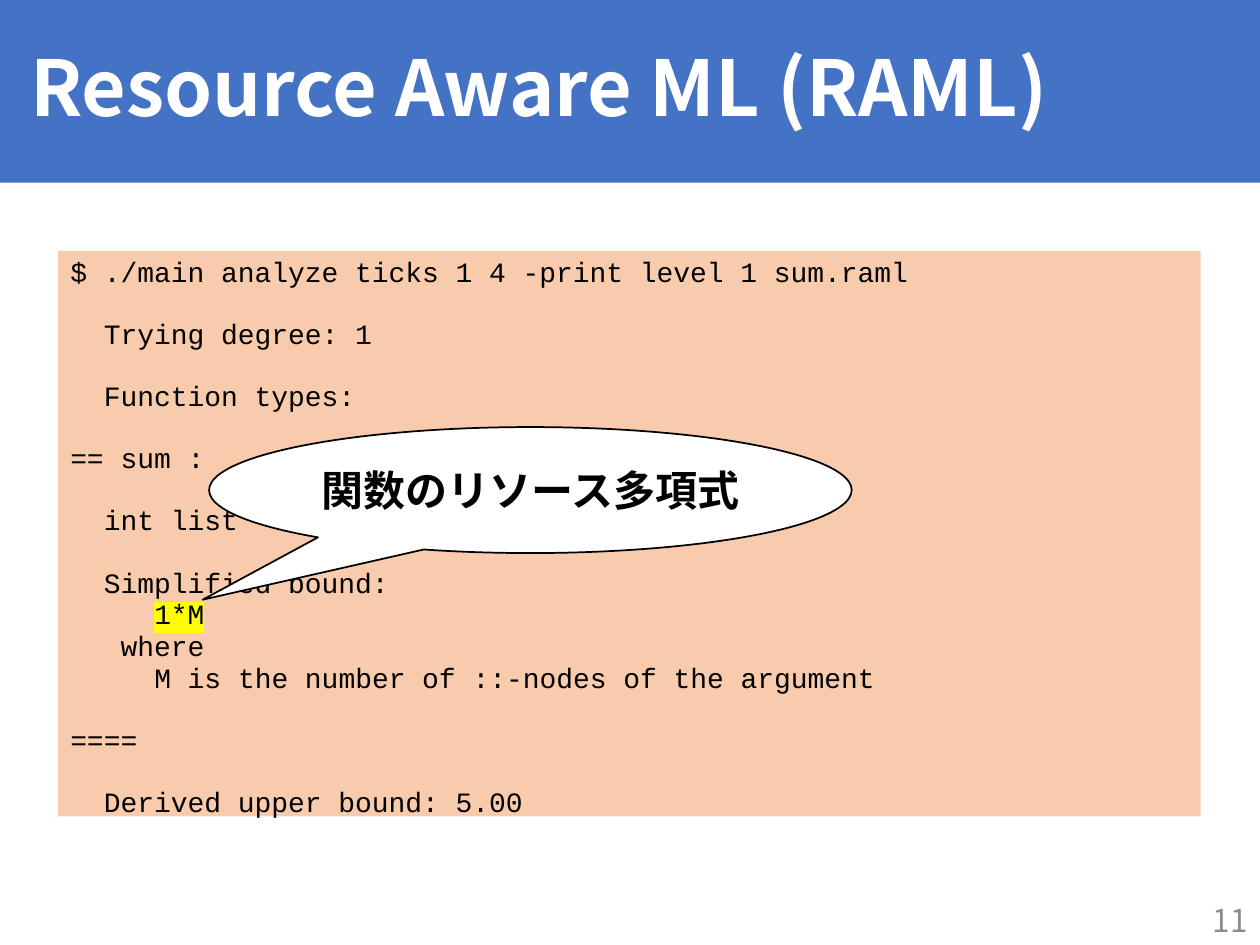
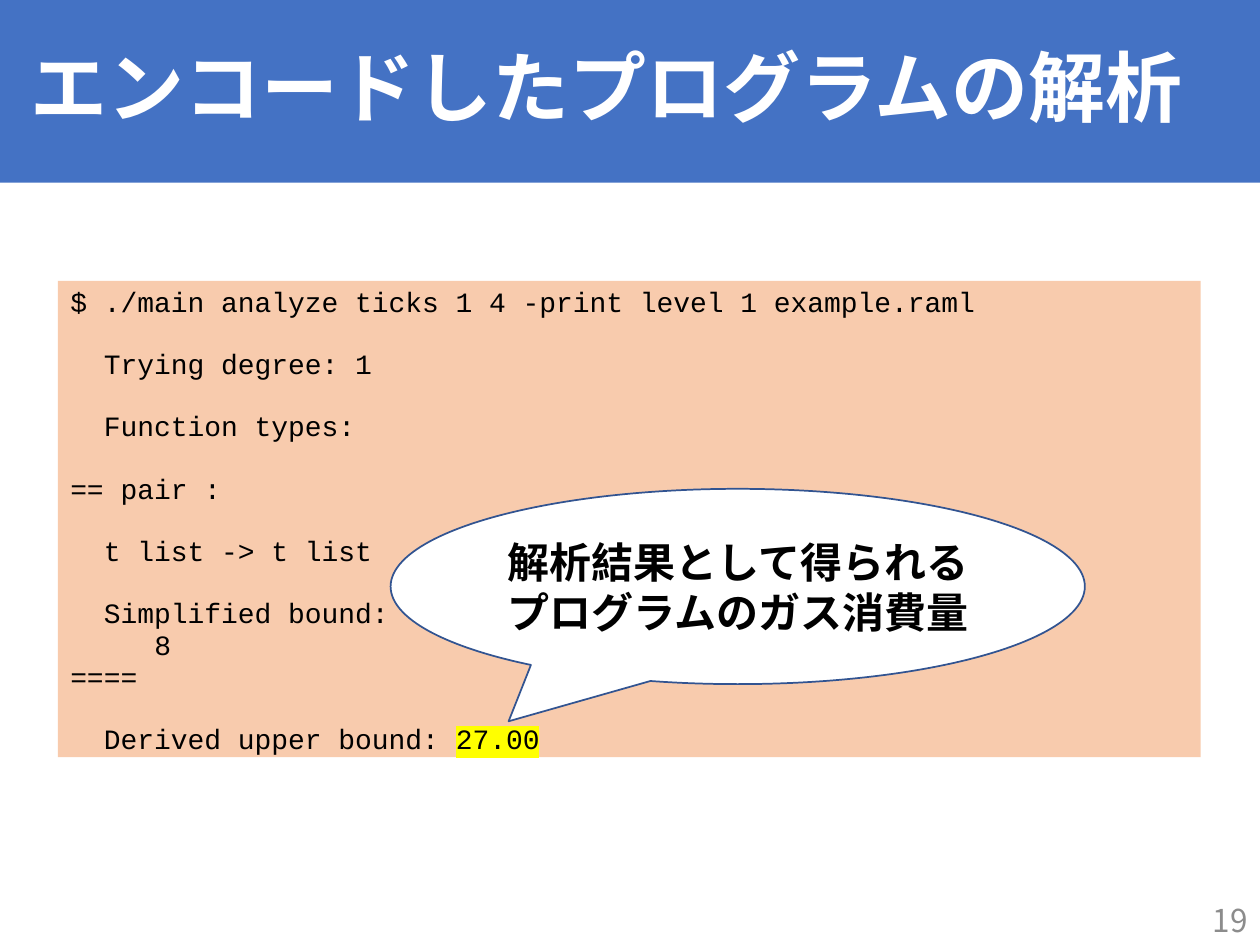
from lxml.etree import SubElement
from pptx import Presentation
from pptx.dml.color import RGBColor
from pptx.enum.shapes import MSO_SHAPE
from pptx.enum.text import MSO_ANCHOR, PP_ALIGN
from pptx.oxml.ns import qn
from pptx.util import Inches, Pt

BLUE = RGBColor(0x44, 0x72, 0xC4)
DARK_BLUE = RGBColor(0x32, 0x54, 0x91)
PEACH = RGBColor(0xF8, 0xCB, 0xAD)
YELLOW = RGBColor(0xFF, 0xFF, 0x00)
GRAY = RGBColor(0x8C, 0x8C, 0x8C)
WHITE = RGBColor(0xFF, 0xFF, 0xFF)
BLACK = RGBColor(0x00, 0x00, 0x00)

TEXT_FONT = "Noto Sans CJK JP"
CODE_FONT = "Courier New"
CODE_SIZE = 16
CODE_SPACING = 0.95
CODE_LINE = Pt(17.25)
CODE_COLUMN = Pt(0.6 * CODE_SIZE)

COLUMNS, ROWS = 100, 75


class SlideBuilder:
    def __init__(self):
        self.deck = Presentation()
        self.deck.slide_width = Inches(10)
        self.deck.slide_height = Inches(7.5)
        self.slide = None

    def grid(self, column, row, columns, rows):
        width, height = self.deck.slide_width, self.deck.slide_height
        return (
            round(width * column / COLUMNS),
            round(height * row / ROWS),
            round(width * columns / COLUMNS),
            round(height * rows / ROWS),
        )

    def add_page(self, title, number):
        self.slide = self.deck.slides.add_slide(self.deck.slide_layouts[6])
        self.title(title)
        self.page_number(number)

    def style(self, span, size, color, font=TEXT_FONT, bold=False, mark=None):
        span.font.size = Pt(size)
        span.font.bold = bold
        span.font.color.rgb = color
        span.font.name = font
        properties = span.font._element
        SubElement(properties, qn("a:ea")).set("typeface", font)
        if mark is not None:
            highlight = SubElement(properties, qn("a:highlight"))
            SubElement(highlight, qn("a:srgbClr")).set("val", str(mark))
            properties.find(qn("a:latin")).addprevious(highlight)

    def shape(self, kind, place, fill, line=None):
        box = self.slide.shapes.add_shape(kind, *self.grid(*place))
        box.shadow.inherit = False
        box.fill.solid()
        box.fill.fore_color.rgb = fill
        if line is None:
            box.line.fill.background()
        else:
            box.line.color.rgb = line
            box.line.width = Pt(1)
        box.text_frame.word_wrap = True
        return box

    def label(self, box, text, align, size, color, bold=False):
        frame = box.text_frame
        frame.text = text
        frame.vertical_anchor = MSO_ANCHOR.MIDDLE
        para = frame.paragraphs[0]
        para.alignment = align
        self.style(para.runs[0], size, color, bold=bold)
        return para

    def title(self, text):
        band = self.shape(MSO_SHAPE.RECTANGLE, (0, 0, COLUMNS, 14.5), BLUE)
        band.text_frame.margin_left = Inches(0.24)
        para = self.label(band, text, PP_ALIGN.LEFT, 44, WHITE, bold=True)
        para.line_spacing = 0.9

    def page_number(self, number):
        place = self.grid(77.5, 71, 22.5, 4)
        box = self.slide.shapes.add_textbox(*place)
        box.text_frame.word_wrap = True
        self.label(box, str(number), PP_ALIGN.RIGHT, 18, GRAY)

    def code(self, row, rows, lines):
        box = self.shape(MSO_SHAPE.RECTANGLE, (4.6, row, 90.7, rows), PEACH)
        frame = box.text_frame
        frame.vertical_anchor = MSO_ANCHOR.TOP
        for index, (blank_lines, indent, text, marked) in enumerate(lines):
            para = frame.add_paragraph() if index else frame.paragraphs[0]
            para.alignment = PP_ALIGN.LEFT
            para.line_spacing = CODE_SPACING
            para.space_before = blank_lines * CODE_LINE
            para._p.get_or_add_pPr().set("marL", str(indent * CODE_COLUMN))
            for part, mark in ((text, None), (marked, YELLOW)):
                if part:
                    span = para.add_run()
                    span.text = part
                    self.style(span, CODE_SIZE, BLACK, CODE_FONT, mark=mark)

    def callout(self, place, tip, text, line):
        bubble = self.shape(MSO_SHAPE.OVAL_CALLOUT, place, WHITE, line)
        for index, share in enumerate(tip):
            bubble.adjustments[index] = share
        self.label(bubble, text, PP_ALIGN.CENTER, 24, BLACK, bold=True)

    def save(self):
        self.deck.save("out.pptx")


def analysis_start(source, function, signature):
    return [
        (0, 0, f"$ ./main analyze ticks 1 4 -print level 1 {source}", ""),
        (1, 2, "Trying degree: 1", ""),
        (1, 2, "Function types:", ""),
        (1, 0, f"== {function} :", ""),
        (1, 2, signature, ""),
        (1, 2, "Simplified bound:", ""),
    ]


def main():
    builder = SlideBuilder()

    builder.add_page("Resource Aware ML (RAML)", 11)
    builder.code(19.9, 44.9, analysis_start("sum.raml", "sum", "int list -> int") + [
        (0, 5, "", "1*M"),
        (0, 3, "where", ""),
        (0, 5, "M is the number of ::-nodes of the argument", ""),
        (1, 0, "====", ""),
        (1, 2, "Derived upper bound: 5.00", ""),
    ])
    builder.callout((16.6, 33.9, 51, 10), (-0.51, 0.87), "関数のリソース多項式", BLACK)

    builder.add_page("エンコードしたプログラムの解析", 19)
    builder.code(22.3, 37.8, analysis_start("example.raml", "pair", "t list -> t list") + [
        (0, 5, "8", ""),
        (0, 0, "====", ""),
        (1, 2, "Derived upper bound: ", "27.00"),
    ])
    builder.callout(
        (31, 38.8, 55.1, 15.5), (-0.33, 0.69),
        "解析結果として得られるプログラムのガス消費量", DARK_BLUE,
    )

    builder.save()


if __name__ == "__main__":
    main()
